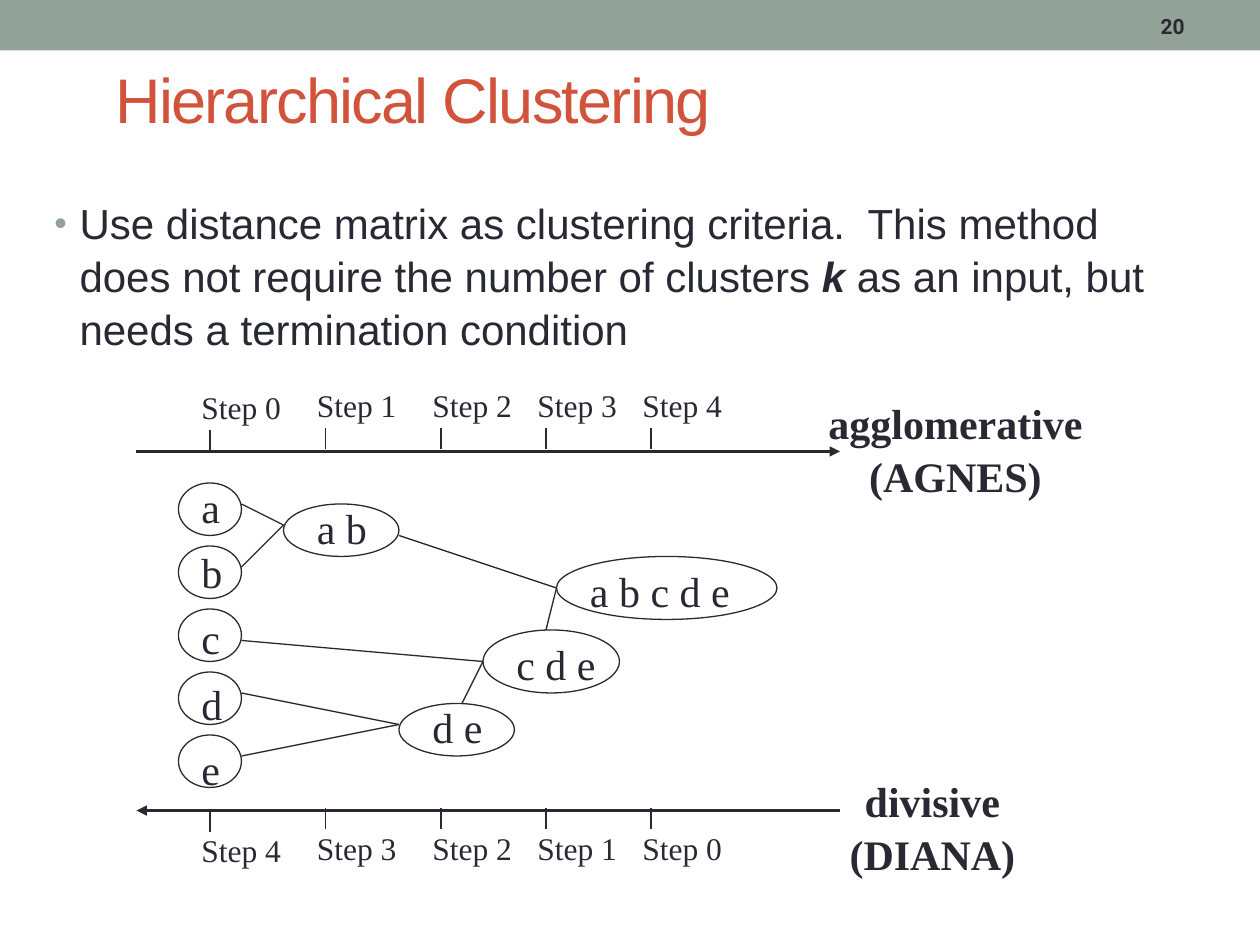
import lxml.etree
import pptx
import pptx.dml.color
import pptx.enum.shapes
import pptx.enum.text
import pptx.oxml.ns
import pptx.util

COLUMNS, ROWS = 120, 90
WIDTH, HEIGHT = pptx.util.Inches(10), pptx.util.Inches(7.5)
INK, SAGE, RUST = "292934", "93A299", "D2533C"
SERIF, SANS = "Times New Roman", "Arial"
ALIGN = pptx.enum.text.PP_ALIGN
MIDDLE = pptx.enum.text.MSO_ANCHOR.MIDDLE

STEP_COLUMNS = [20, 31, 42, 52, 62]
CLUSTERS = [
    ("a b", 27, 48, 11, 5, -1),
    ("d e", 38, 67, 11, 5, -1),
    ("c d e", 46, 60, 13, 6, 0),
    ("a b c d e", 53, 53, 21, 6, 0),
]
MERGES = [
    (23, 48, 27, 50), (23, 54, 27, 50),
    (23, 66, 38, 69), (23, 72, 38, 69),
    (23, 61, 46, 63), (44, 67, 46, 63),
    (38, 51, 53, 56), (52, 60, 53, 56),
]


def color(code):
    """Turn a hex string into a colour."""
    return pptx.dml.color.RGBColor.from_string(code)


def x(column):
    """Return the horizontal length of a number of columns."""
    return round(WIDTH * column / COLUMNS)


def y(row):
    """Return the vertical length of a number of rows."""
    return round(HEIGHT * row / ROWS)


def box(column, row, columns, rows):
    """Return left, top, width and height for a block of grid cells."""
    return x(column), y(row), x(columns), y(rows)


def add_element(parent, tag, **attributes):
    """Append a DrawingML element with the given attributes."""
    return lxml.etree.SubElement(parent, pptx.oxml.ns.qn(tag), attributes)


def format_run(run, size, font=SERIF, code=INK, bold=False, italic=False):
    """Set the typeface, size, colour and emphasis of a run."""
    run.font.name = font
    run.font.size = pptx.util.Pt(size)
    run.font.color.rgb = color(code)
    run.font.bold = bold
    run.font.italic = italic


def add_label(slide, text, place, size, font=SERIF, bold=False, align=ALIGN.LEFT):
    """Add a text box with one paragraph for each line of text."""
    frame = slide.shapes.add_textbox(*place).text_frame
    frame.word_wrap = True
    frame.text = text
    for paragraph in frame.paragraphs:
        paragraph.alignment = align
        paragraph.line_spacing = 1.05
        for run in paragraph.runs:
            format_run(run, size, font, bold=bold)
    return frame


def add_line(slide, start_column, start_row, end_column, end_row, weight=0.75, arrow=False):
    """Draw a straight line between two grid points."""
    line = slide.shapes.add_connector(
        pptx.enum.shapes.MSO_CONNECTOR.STRAIGHT,
        x(start_column), y(start_row), x(end_column), y(end_row),
    )
    line.line.color.rgb = color(INK)
    line.line.width = pptx.util.Pt(weight)
    if arrow:
        add_element(line.line._get_or_add_ln(), "a:tailEnd", type="triangle")
    add_element(line._element.spPr, "a:effectLst")


def add_cluster(slide, members, column, row, columns, rows, text_column, text_row):
    """Draw an outlined cluster with its members written inside."""
    add_label(slide, members, box(text_column, text_row, columns, 6), 24)
    ellipse = slide.shapes.add_shape(
        pptx.enum.shapes.MSO_SHAPE.OVAL, *box(column, row, columns, rows)
    )
    ellipse.shadow.inherit = False
    ellipse.fill.background()
    ellipse.line.color.rgb = color(INK)
    ellipse.line.width = pptx.util.Pt(0.75)


def add_axis(slide, start, end, axis_row, tick_row, label_row, steps):
    """Draw a directed time axis with a tick and a label for each step."""
    add_line(slide, start, axis_row, end, axis_row, 1.5, True)
    for index, (column, step) in enumerate(zip(STEP_COLUMNS, steps)):
        drop = 0.2 if index == 0 else 0
        add_line(slide, column, tick_row + drop, column, tick_row + drop + 2)
        add_label(slide, f"Step {step}", box(column - 2, label_row + drop, 10, 4.8), 18)


def add_header(slide):
    """Add the top band, the page number and the title."""
    band = slide.shapes.add_shape(
        pptx.enum.shapes.MSO_SHAPE.RECTANGLE, *box(0, 0, COLUMNS, 4.8)
    )
    band.shadow.inherit = False
    band.fill.solid()
    band.fill.fore_color.rgb = color(SAGE)
    band.line.fill.background()
    number = add_label(slide, "20", box(100, 0.2, 14, 4.4), 12, "Roboto", True, ALIGN.RIGHT)
    number.vertical_anchor = MIDDLE

    title = slide.shapes.title
    title.left, title.top, title.width, title.height = box(9.8, 6.5, 95.8, 5.8)
    title.text_frame.text = "Hierarchical Clustering"
    title.text_frame.vertical_anchor = MIDDLE
    heading = title.text_frame.paragraphs[0]
    heading.alignment = ALIGN.LEFT
    format_run(heading.runs[0], 36, SANS, RUST)
    heading.runs[0].font._element.set("spc", "-100")


def add_summary(slide):
    """Add the bulleted description of the method."""
    frame = add_label(
        slide,
        "Use distance matrix as clustering criteria.  This method does not "
        "require the number of clusters ",
        box(4, 18, 109, 16), 24, SANS,
    )
    paragraph = frame.paragraphs[0]
    for text, strong in (("k", True), (" as an input, but needs a termination condition", False)):
        run = paragraph.add_run()
        run.text = text
        format_run(run, 24, SANS, bold=strong, italic=strong)
    properties = paragraph._p.get_or_add_pPr()
    indent = pptx.util.Inches(0.2)
    properties.set("marL", str(indent))
    properties.set("indent", str(-indent))
    add_element(add_element(properties, "a:buClr"), "a:srgbClr", val=SAGE)
    add_element(properties, "a:buSzPct", val="85000")
    add_element(properties, "a:buFont", typeface=SANS)
    add_element(properties, "a:buChar", char="•")


def add_diagram(slide):
    """Draw both axes, the clusters and the lines that merge them."""
    add_axis(slide, 13, 80, 43, 40.8, 36, range(5))
    for index, member in enumerate("abcde"):
        add_cluster(slide, member, 17, 46 + 6 * index, 6, 5, 18, 45 + 6.25 * index)
    for members, column, row, columns, rows, shift in CLUSTERS:
        add_cluster(slide, members, column, row, columns, rows, column + 2, row + shift)
    add_axis(slide, 80, 13, 77.2, 77, 78.2, reversed(range(5)))
    for merge in MERGES:
        add_line(slide, *merge)
    add_label(slide, "agglomerative\n(AGNES)", box(76, 37, 30, 10.8), 24,
              bold=True, align=ALIGN.CENTER)
    add_label(slide, "divisive\n(DIANA)", box(78.8, 73, 20, 10.8), 24,
              bold=True, align=ALIGN.CENTER)


def main():
    """Build the slide and save it."""
    presentation = pptx.Presentation()
    presentation.slide_width, presentation.slide_height = WIDTH, HEIGHT
    slide = presentation.slides.add_slide(presentation.slide_layouts[5])
    add_header(slide)
    add_summary(slide)
    add_diagram(slide)
    presentation.save("out.pptx")


if __name__ == "__main__":
    main()
